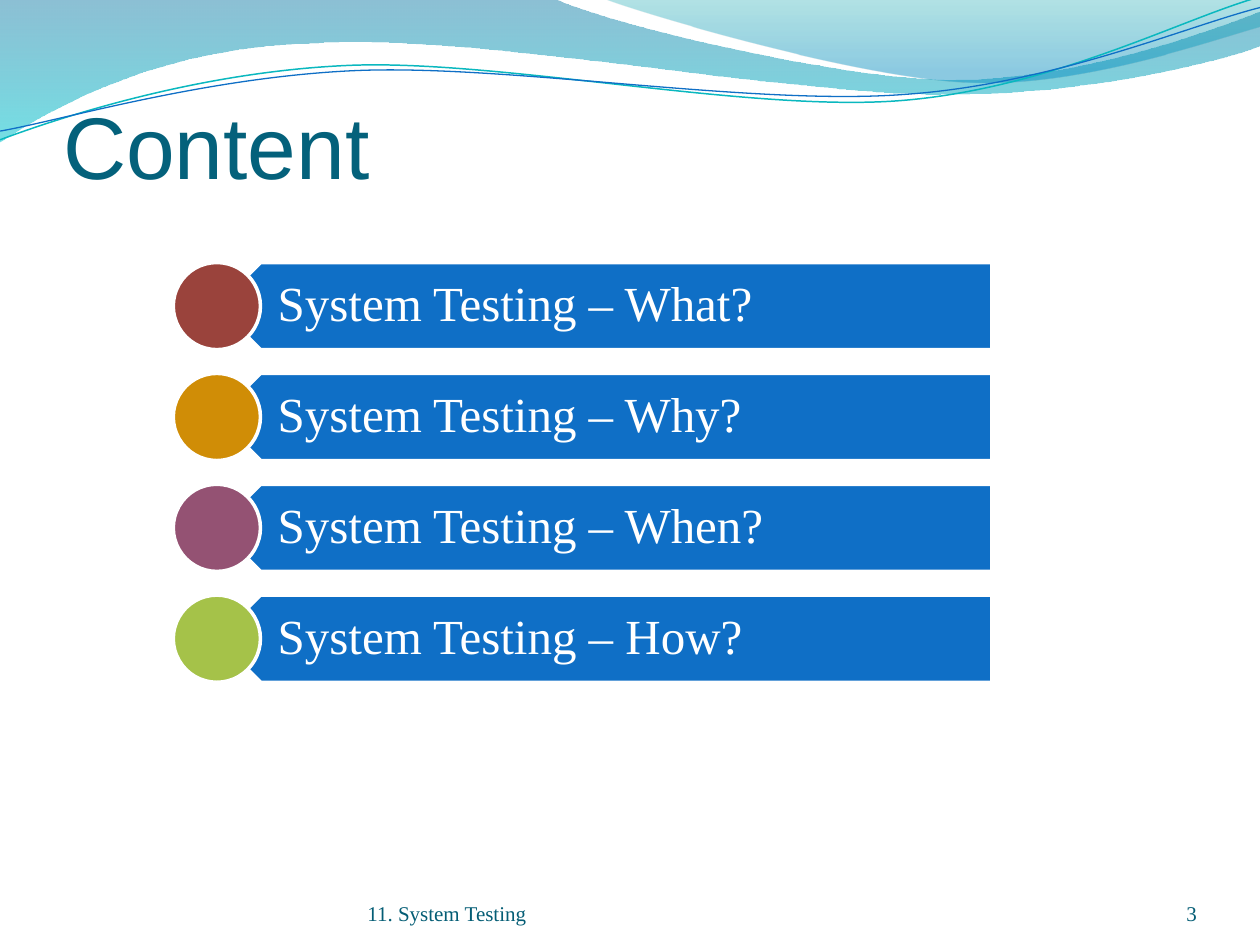
from lxml.etree import SubElement
from pptx import Presentation
from pptx.dml.color import RGBColor
from pptx.enum.shapes import MSO_SHAPE as SHAPE
from pptx.enum.text import MSO_ANCHOR as ANCHOR, MSO_AUTO_SIZE as AUTO, PP_ALIGN as ALIGN
from pptx.oxml.ns import qn
from pptx.util import Pt

WHITE = RGBColor(0xFF, 0xFF, 0xFF)
BLUE = RGBColor(0x0F, 0x6F, 0xC6)
TEAL = RGBColor(0x0A, 0xB8, 0xBF)
TITLE_COLOR = RGBColor(0x04, 0x61, 0x7B)
FOOTER_COLOR = RGBColor(0x04, 0x5D, 0x75)
SERIF = "Times New Roman"

TITLE = "Content"
TOPICS = [
    ("System Testing – What?", RGBColor(0x9A, 0x43, 0x3C)),
    ("System Testing – Why?", RGBColor(0xD0, 0x8D, 0x06)),
    ("System Testing – When?", RGBColor(0x94, 0x52, 0x73)),
    ("System Testing – How?", RGBColor(0xA5, 0xC2, 0x49)),
]
FOOTERS = [
    ("11. System Testing", 210, 264.2, ALIGN.LEFT),
    ("3", 624.2, 59.8, ALIGN.RIGHT),
]
BANDS = [
    ([(0, 0), (316.8, -0.7),
      (342.7, 12.2, 478.1, 45.4, 545.8, 45.4), (614.2, 45.4, 689.8, 18.7, 720, 6.5),
      (720.7, 25.9),
      (707.8, 31.7, 626.4, 54.7, 537.1, 54), (447.8, 54, 275, 20.2, 185, 24.5),
      (92.9, 25.9, 33.1, 59.8, -0.7, 81.4)],
     [(0, RGBColor(0x00, 0x74, 0xA1), 45), (1, RGBColor(0x00, 0xC6, 0xCF), 55)]),
    ([(344.9, -0.7),
      (366.5, 7.9, 491, 44.6, 553.7, 46.8), (616.3, 49.7, 691.9, 23, 720, 15.1),
      (720, 0)],
     [(0, RGBColor(0x00, 0xA1, 0xA9), 30), (0.8, RGBColor(0x00, 0x8B, 0xBF), 45)]),
]
WAVES = [
    ([(0, 79.9), (34.6, 67, 113.8, 41, 199.4, 37.4),
      (284.4, 33.8, 427, 64.1, 513.4, 57.6), (599.8, 51.1, 675.4, 10.8, 718.6, -1.4)],
     TEAL, 0.85),
    ([(0, 74.9), (33.8, 69.1, 118.1, 43.9, 203.8, 40.3),
      (290.2, 36.7, 429.8, 60.5, 516.2, 54), (601.9, 48.2, 677.5, 15.1, 720, 4.3)],
     BLUE, 0.75),
]
ROW_TOP, ROW_PITCH, ROW_H = 150, 63.36, 49.8
CIRCLE_X, BAR_X, BAR_W = 99, 124, 442.8
LABEL_X, LABEL_W = 136.4, 430.2


def add_outline(shapes, segments, close):
    """Draw a freeform of lines (2 numbers) and cubic curves (6 numbers)."""
    points = [(Pt(seg[i]), Pt(seg[i + 1])) for seg in segments for i in range(0, len(seg), 2)]
    builder = shapes.build_freeform(*points[0], scale=1.0)
    builder.add_line_segments(points[1:], close=close)
    sp = builder.convert_to_shape()
    sp.shadow.inherit = False
    steps = iter(list(sp._element.spPr.iter(qn("a:lnTo"))))
    for seg in segments[1:]:
        step = next(steps)
        if len(seg) == 6:
            curve = step.makeelement(qn("a:cubicBezTo"))
            step.addprevious(curve)
            for old in (step, next(steps), next(steps)):
                curve.append(old[0])
                old.getparent().remove(old)
    return sp


def add_band(shapes, segments, stops):
    """Draw a closed band with a translucent vertical gradient."""
    sp = add_outline(shapes, segments, True)
    sp.line.fill.background()
    sp.fill.gradient()
    sp.fill.gradient_angle = 270
    for stop, (position, color, _) in zip(sp.fill.gradient_stops, stops):
        stop.position = position
        stop.color.rgb = color
    colors = sp._element.spPr.iter(qn("a:srgbClr"))
    for clr, (_, _, opacity) in zip(list(colors), stops):
        SubElement(clr, qn("a:alpha")).set("val", str(opacity * 1000))


def add_wave(shapes, segments, color, width):
    """Draw an open wavy line."""
    sp = add_outline(shapes, segments, False)
    sp.fill.background()
    sp.line.color.rgb = color
    sp.line.width = Pt(width)


def add_block(shapes, kind, box, color):
    """Draw a filled shape with a white border."""
    sp = shapes.add_shape(kind, *map(Pt, box))
    sp.shadow.inherit = False
    sp.fill.solid()
    sp.fill.fore_color.rgb = color
    sp.line.color.rgb = WHITE
    sp.line.width = Pt(2)
    return sp


def set_text(sp, text, font, size, color, anchor, insets, align=ALIGN.LEFT):
    """Write one formatted paragraph into a shape."""
    tf = sp.text_frame
    tf.word_wrap = True
    tf.auto_size = AUTO.NONE
    tf.vertical_anchor = anchor
    tf.margin_left, tf.margin_top, tf.margin_right, tf.margin_bottom = map(Pt, insets)
    p = tf.paragraphs[0]
    p.text = text
    p.alignment = align
    p.font.name = font
    p.font.size = Pt(size)
    p.font.color.rgb = color
    return p


def add_topic(shapes, top, text, color):
    """Draw one agenda row: bar, label and circle."""
    bar = add_block(shapes, SHAPE.PENTAGON, (BAR_X, top, BAR_W, ROW_H), BLUE)
    bar.rotation = 180
    label = shapes.add_textbox(*map(Pt, (LABEL_X, top, LABEL_W, ROW_H)))
    p = set_text(label, text, SERIF, 28, WHITE, ANCHOR.MIDDLE, (22.3, 8.6, 15.8, 8.6))
    p.line_spacing = 0.9
    add_block(shapes, SHAPE.OVAL, (CIRCLE_X, top, ROW_H, ROW_H), color)


def main():
    """Build the agenda slide."""
    prs = Presentation()
    prs.slide_width, prs.slide_height = Pt(720), Pt(540)
    s = prs.slides.add_slide(prs.slide_layouts[5])
    shapes = s.shapes
    title = shapes.title
    for segments, stops in BANDS:
        add_band(shapes, segments, stops)
    for segments, color, width in WAVES:
        add_wave(shapes, segments, color, width)
    shapes._spTree.append(title._element)
    title.left, title.top, title.width, title.height = map(Pt, (36, 47.8, 648, 64.8))
    set_text(title, TITLE, "Arial", 50, TITLE_COLOR, ANCHOR.BOTTOM, (0, 3.6, 0, 0))
    for text, left, width, align in FOOTERS:
        sp = shapes.add_textbox(*map(Pt, (left, 500.4, width, 28.8)))
        set_text(sp, text, SERIF, 12, FOOTER_COLOR, ANCHOR.BOTTOM, (0, 0, 0, 0), align)
    for i, (text, color) in enumerate(TOPICS):
        add_topic(shapes, ROW_TOP + i * ROW_PITCH, text, color)
    prs.save("out.pptx")


if __name__ == "__main__":
    main()
